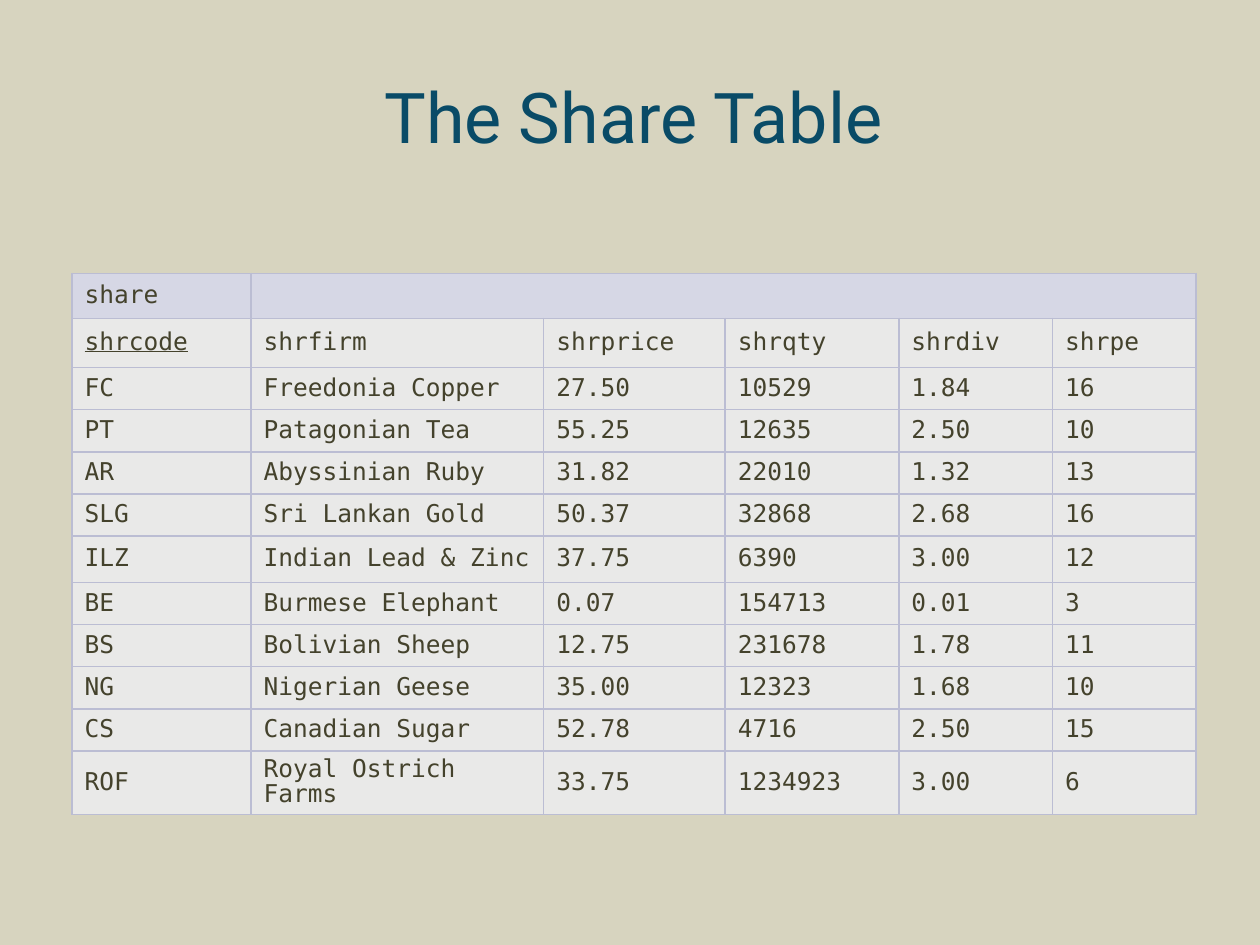
from dataclasses import dataclass

from lxml.etree import SubElement
from pptx import Presentation
from pptx.dml.color import RGBColor
from pptx.enum.text import MSO_ANCHOR, PP_ALIGN
from pptx.oxml.ns import qn
from pptx.table import _Cell
from pptx.util import Cm, Pt

COLORS = {
    "background": "D7D4BF",
    "title": "094B67",
    "text": "44422C",
    "header": "D6D7E5",
    "body": "E9E9E8",
    "border": "BBBDD3",
}


@dataclass
class Column:
    name: str
    width: float
    values: list[str]


COLUMNS = [
    Column("shrcode", 3.61, ["FC", "PT", "AR", "SLG", "ILZ", "BE", "BS", "NG", "CS", "ROF"]),
    Column("shrfirm", 5.9, [
        "Freedonia Copper", "Patagonian Tea", "Abyssinian Ruby", "Sri Lankan Gold",
        "Indian Lead & Zinc", "Burmese Elephant", "Bolivian Sheep", "Nigerian Geese",
        "Canadian Sugar", "Royal Ostrich Farms",
    ]),
    Column("shrprice", 3.66, [
        "27.50", "55.25", "31.82", "50.37", "37.75", "0.07", "12.75", "35.00", "52.78", "33.75",
    ]),
    Column("shrqty", 3.5, [
        "10529", "12635", "22010", "32868", "6390", "154713", "231678", "12323", "4716", "1234923",
    ]),
    Column("shrdiv", 3.1, [
        "1.84", "2.50", "1.32", "2.68", "3.00", "0.01", "1.78", "1.68", "2.50", "3.00",
    ]),
    Column("shrpe", 2.89, ["16", "10", "13", "16", "12", "3", "11", "10", "15", "6"]),
]
ROW_HEIGHTS = [0.91, 0.99] + [0.85] * 4 + [0.93] + [0.85] * 4 + [0.91]


def rgb(name: str) -> RGBColor:
    return RGBColor.from_string(COLORS[name])


def add_borders(cell: _Cell) -> None:
    tc_pr = cell._tc.get_or_add_tcPr()
    for side in ("lnL", "lnR", "lnT", "lnB"):
        ln = SubElement(tc_pr, qn(f"a:{side}"), w=str(Pt(1)))
        fill = SubElement(ln, qn("a:solidFill"))
        SubElement(fill, qn("a:srgbClr"), val=COLORS["border"])


def format_cell(cell: _Cell, text: str, fill: str) -> None:
    add_borders(cell)
    cell.fill.solid()
    cell.fill.fore_color.rgb = rgb(fill)
    cell.vertical_anchor = MSO_ANCHOR.MIDDLE
    p = cell.text_frame.paragraphs[0]
    p.text = text
    p.line_spacing = 0.88
    p.font.name = "DejaVu Sans Mono"
    p.font.size = Pt(14)
    p.font.bold = False
    p.font.color.rgb = rgb("text")


def main() -> None:
    prs = Presentation()
    prs.slide_width, prs.slide_height = Cm(25.4), Cm(19.05)
    s = prs.slides.add_slide(prs.slide_layouts[5])
    s.background.fill.solid()
    s.background.fill.fore_color.rgb = rgb("background")

    title = s.shapes.title
    title.left, title.top, title.width, title.height = Cm(1.52), Cm(0.79), Cm(22.5), Cm(3.07)
    tf = title.text_frame
    tf.vertical_anchor = MSO_ANCHOR.MIDDLE
    p = tf.paragraphs[0]
    p.text = "The Share Table"
    p.alignment = PP_ALIGN.CENTER
    p.font.name = "Roboto"
    p.font.size = Pt(40)
    p.font.color.rgb = rgb("title")

    table = s.shapes.add_table(
        len(ROW_HEIGHTS), len(COLUMNS), Cm(1.45), Cm(5.51),
        Cm(sum(c.width for c in COLUMNS)), Cm(sum(ROW_HEIGHTS)),
    ).table
    table.first_row = table.horz_banding = False
    for row, height in zip(table.rows, ROW_HEIGHTS):
        row.height = Cm(height)
    for i, column in enumerate(COLUMNS):
        table.columns[i].width = Cm(column.width)
        format_cell(table.cell(0, i), "" if i else "share", "header")
        for j, value in enumerate([column.name, *column.values], start=1):
            format_cell(table.cell(j, i), value, "body")
    table.cell(0, 1).merge(table.cell(0, len(COLUMNS) - 1))
    table.cell(1, 0).text_frame.paragraphs[0].font.underline = True

    prs.save("out.pptx")


if __name__ == "__main__":
    main()
